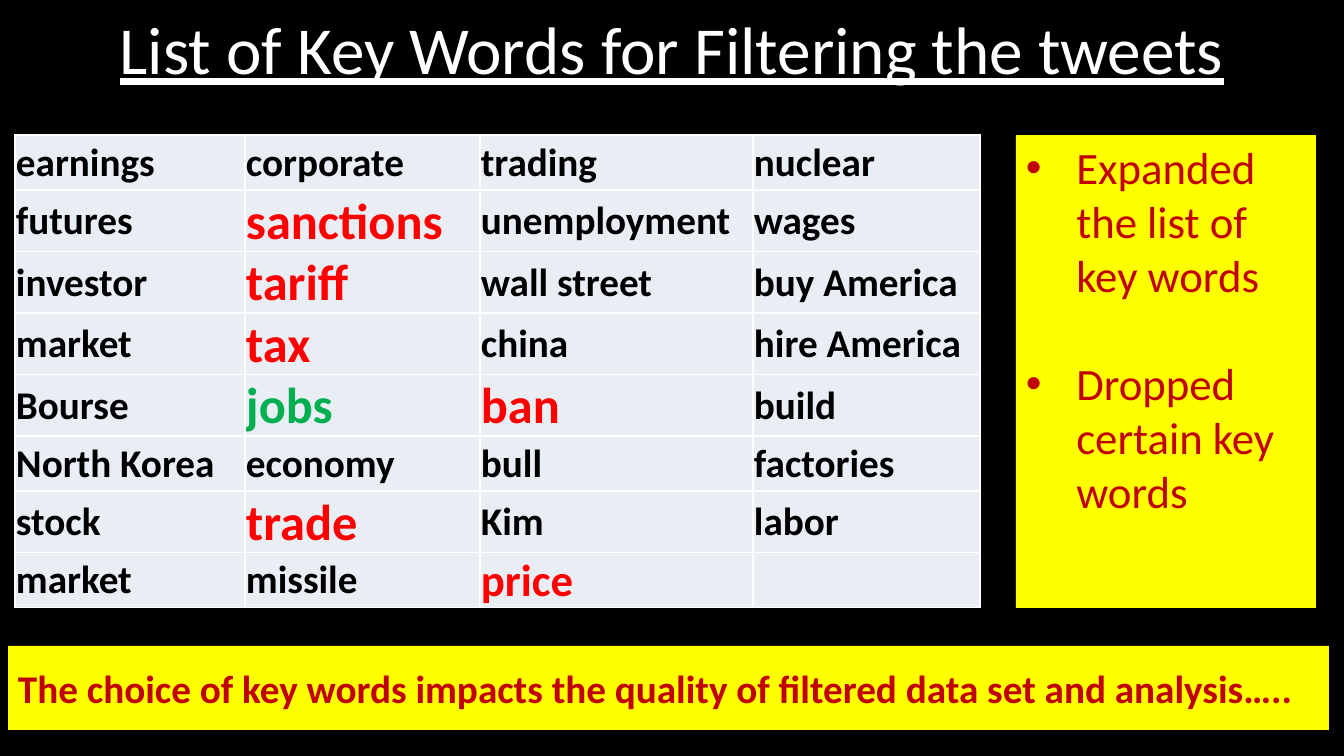
from lxml import etree
from pptx import Presentation
from pptx import util as u
from pptx.dml.color import RGBColor
from pptx.enum import shapes, text
from pptx.oxml import ns

PX = 12192000 / 1344  # EMU in one px
THEME = {
    "font": "Calibri",
    "background": "000000", "title": "FFFFFF", "panel": "FFFF00", "message": "C00000",
    "cell": "E9EDF4", "border": "FFFFFF", "word": "000000", "red": "FF0000", "green": "00B050",
    "title_size": 48, "word_size": 28, "price_size": 32, "key_size": 36,
    "message_size": 28, "bullet_size": 32,
}


def px(*lengths):
    return [u.Emu(round(length * PX)) for length in lengths]


def write(paragraph, words, size, color, **formats):
    run = paragraph.add_run()
    run.text = words
    values = {"name": THEME["font"], "size": u.Pt(THEME[size]), **formats}
    for name, value in values.items():
        setattr(run.font, name, value)
    run.font.color.rgb = RGBColor.from_string(THEME[color])


presentation = Presentation()
presentation.slide_width, presentation.slide_height = px(1344, 756)
slide = presentation.slides.add_slide(presentation.slide_layouts[6])
slide.background.fill.solid()
slide.background.fill.fore_color.rgb = RGBColor.from_string(THEME["background"])

# Title
title = slide.shapes.add_textbox(*px(66, 3, 1212, 90)).text_frame
title.word_wrap = True
title.vertical_anchor = text.MSO_ANCHOR.MIDDLE
title.paragraphs[0].alignment = text.PP_ALIGN.CENTER
write(title.paragraphs[0], "List of Key Words for Filtering the tweets",
      "title_size", "title", underline=True)

# Key word table
KEY_WORDS = [
    ["earnings", "corporate", "trading", "nuclear"],
    ["futures", "sanctions", "unemployment", "wages"],
    ["investor", "tariff", "wall street", "buy America"],
    ["market", "tax", "china", "hire America"],
    ["Bourse", "jobs", "ban", "build"],
    ["North Korea", "economy", "bull", "factories"],
    ["stock", "trade", "Kim", "labor"],
    ["market", "missile", "price", ""],
]
HIGHLIGHTS = {word: ("key_size", "red") for word in ("sanctions", "tariff", "tax", "ban", "trade")}
HIGHLIGHTS |= {"jobs": ("key_size", "green"), "price": ("price_size", "red")}
COLUMN_WIDTHS = [230, 235, 273, 227]
ROW_HEIGHT = 55

table = slide.shapes.add_table(
    len(KEY_WORDS), len(COLUMN_WIDTHS),
    *px(15, 135, sum(COLUMN_WIDTHS), ROW_HEIGHT * len(KEY_WORDS))).table
table.first_row = table.horz_banding = False
for column, width in zip(table.columns, px(*COLUMN_WIDTHS)):
    column.width = width

for row, words in enumerate(KEY_WORDS):
    table.rows[row].height = px(ROW_HEIGHT)[0]
    for column, word in enumerate(words):
        cell = table.cell(row, column)
        cell_format = {"margin_left": px(1)[0], "margin_right": px(1)[0], "margin_top": px(1)[0],
                       "margin_bottom": 0, "vertical_anchor": text.MSO_ANCHOR.MIDDLE}
        for name, value in cell_format.items():
            setattr(cell, name, value)
        properties = cell._tc.get_or_add_tcPr()
        for side in ("a:lnL", "a:lnR", "a:lnT", "a:lnB"):
            border = etree.SubElement(properties, ns.qn(side), w=str(u.Pt(1)))
            fill = etree.SubElement(border, ns.qn("a:solidFill"))
            etree.SubElement(fill, ns.qn("a:srgbClr"), val=THEME["border"])
        cell.fill.solid()
        cell.fill.fore_color.rgb = RGBColor.from_string(THEME["cell"])
        if word:
            size, color = HIGHLIGHTS.get(word, ("word_size", "word"))
            write(cell.text_frame.paragraphs[0], word, size, color, bold=True)

# Yellow panels
panel_frames = []
for place, anchor in [((8, 646, 1321, 84), text.MSO_ANCHOR.MIDDLE),
                      ((1016, 135, 300, 473), text.MSO_ANCHOR.TOP)]:
    panel = slide.shapes.add_shape(shapes.MSO_SHAPE.RECTANGLE, *px(*place))
    panel.shadow.inherit = False
    panel.fill.solid()
    panel.fill.fore_color.rgb = RGBColor.from_string(THEME["panel"])
    panel.line.fill.background()
    panel.text_frame.word_wrap = True
    panel.text_frame.vertical_anchor = anchor
    panel_frames.append(panel.text_frame)
conclusion, changes = panel_frames

# Conclusion
conclusion.paragraphs[0].alignment = text.PP_ALIGN.LEFT
write(conclusion.paragraphs[0],
      "The choice of key words impacts the quality of filtered data set and analysis…..",
      "message_size", "message", bold=True)

# Bulleted changes, one line apart
for index, change in enumerate(["Expanded the list of key words", "Dropped certain key words"]):
    paragraph = changes.add_paragraph() if index else changes.paragraphs[0]
    paragraph.alignment = text.PP_ALIGN.LEFT
    if index:
        paragraph.space_before = u.Pt(39)
    properties = paragraph._p.get_or_add_pPr()
    properties.set("marL", str(u.Inches(0.5)))
    properties.set("indent", str(-u.Inches(0.5)))
    etree.SubElement(properties, ns.qn("a:buFont"), typeface="Arial")
    etree.SubElement(properties, ns.qn("a:buChar"), char="•")
    write(paragraph, change, "bullet_size", "message")

presentation.save("out.pptx")
